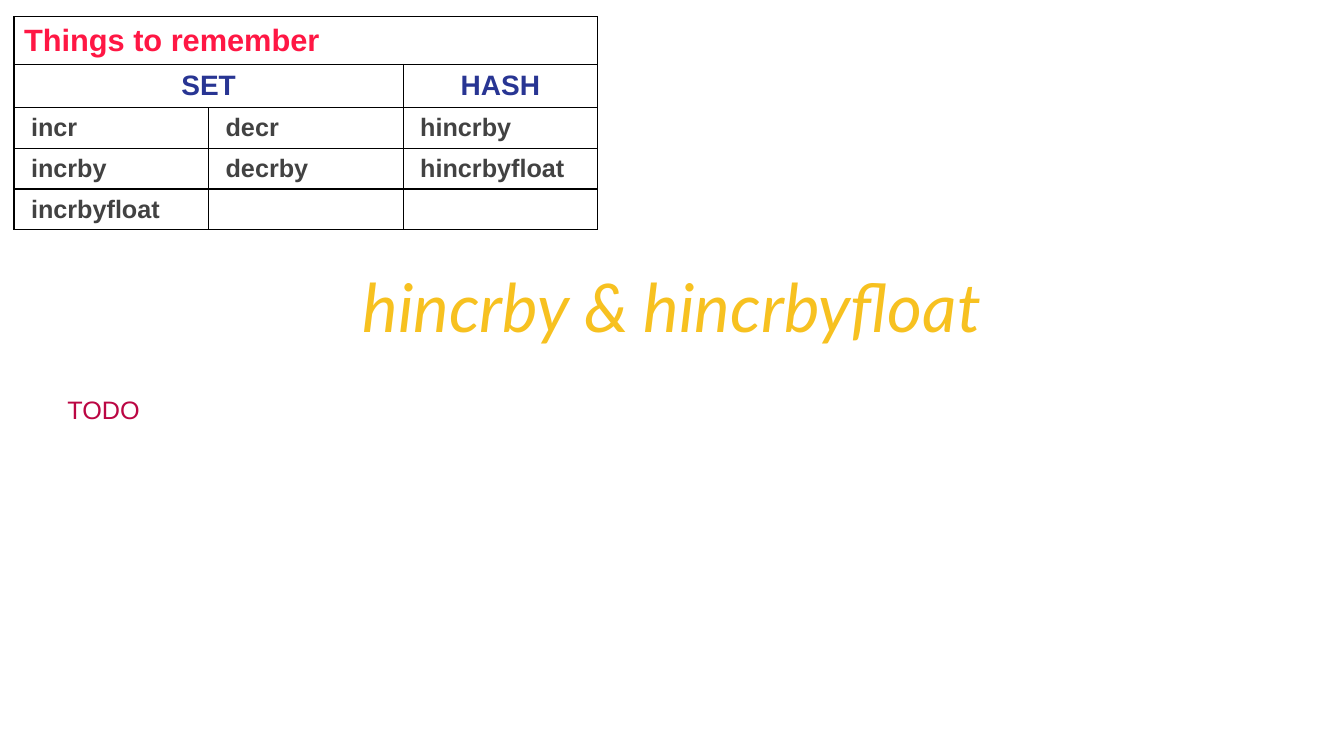
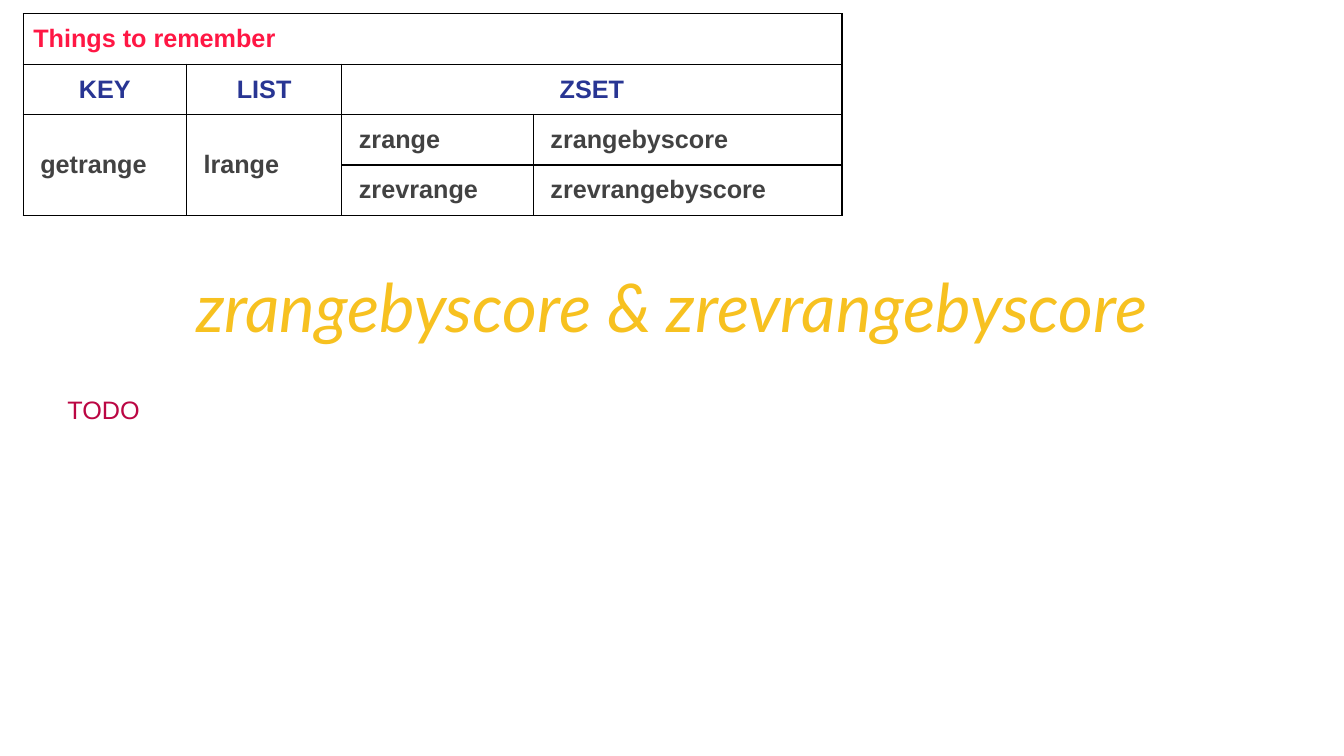
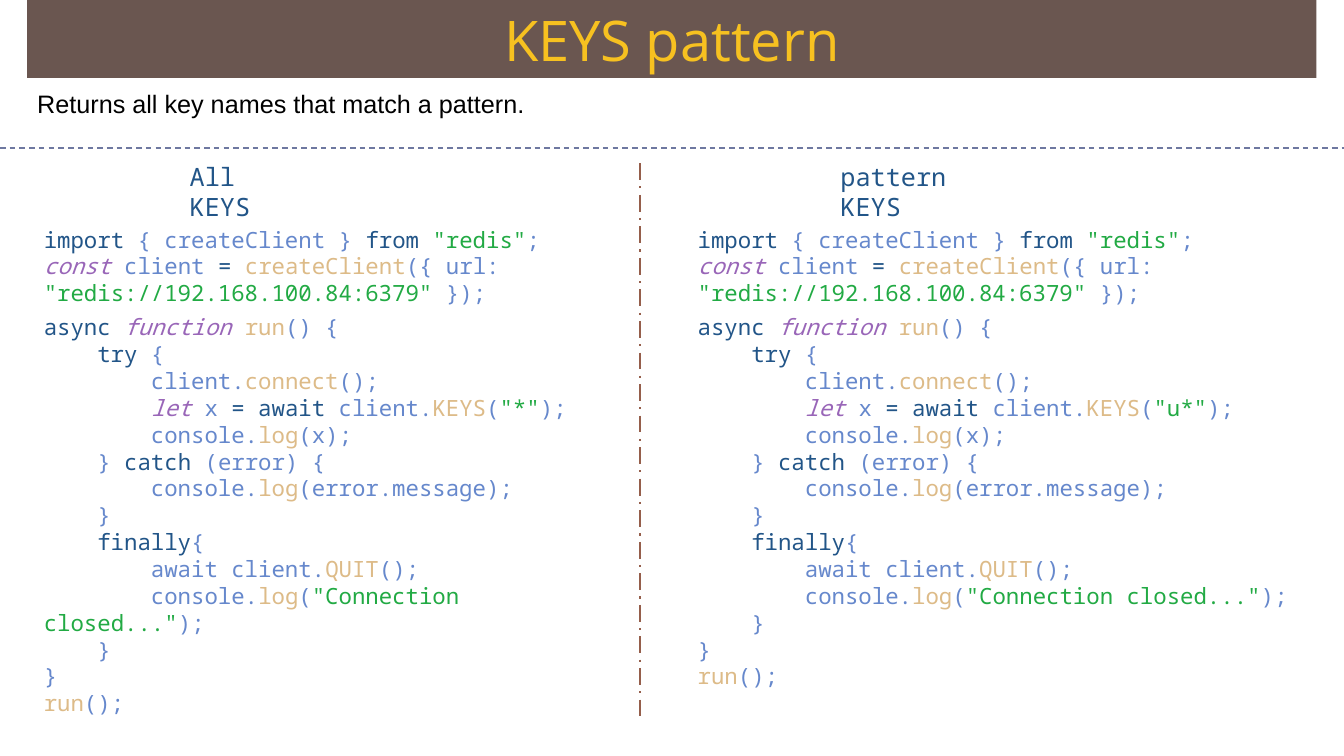
from dataclasses import dataclass

from lxml import etree
from pptx import Presentation
from pptx.dml.color import RGBColor
from pptx.enum.dml import MSO_LINE
from pptx.enum.shapes import MSO_CONNECTOR
from pptx.enum.text import MSO_ANCHOR, MSO_AUTO_SIZE, PP_ALIGN
from pptx.oxml.ns import qn
from pptx.util import Pt

LEFT, CENTER, JUSTIFY = PP_ALIGN.LEFT, PP_ALIGN.CENTER, PP_ALIGN.JUSTIFY
TOP, MIDDLE = MSO_ANCHOR.TOP, MSO_ANCHOR.MIDDLE
FIXED = MSO_AUTO_SIZE.NONE
STRAIGHT = MSO_CONNECTOR.STRAIGHT
DASH, LONG_DASH_DOT = MSO_LINE.DASH, MSO_LINE.LONG_DASH_DOT

COLORS = {
    "title": "F7C120",
    "band": "6A5650",
    "todo": "BB0643",
    "text": "000000",
    "border": "000000",
    "caption": "FF1744",
    "heading": "283593",
    "command": "424242",
    "rule": "6E78A0",
    "divider": "955E4B",
    "keyword": "225588",
    "plain": "6688CC",
    "string": "22AA44",
    "declaration": "9966B8",
    "function": "DDBB88",
}
WIDTH, HEIGHT = 960, 540
MARGIN_X, MARGIN_Y = 7.2, 3.6
COMMAND_INDENT = 5


@dataclass(frozen=True)
class Area:
    left: float
    top: float
    width: float
    height: float


@dataclass(frozen=True)
class Style:
    font: str
    size: float
    color: str
    bold: bool = False
    italic: bool = False
    align: PP_ALIGN = LEFT


@dataclass(frozen=True)
class Cell:
    row: int
    column: int
    text: str
    kind: str = "command"
    rows: int = 1
    columns: int = 1


@dataclass(frozen=True)
class Grid:
    left: float
    top: float
    widths: tuple
    heights: tuple
    cells: tuple
    sizes: dict


@dataclass(frozen=True)
class Topic:
    title: str
    grid: Grid


@dataclass(frozen=True)
class Example:
    heading: str
    pattern: str
    heading_area: Area
    code_area: Area


TOPIC_TITLE = Style("Lato", 48, "title", italic=True, align=CENTER)
BAND_TITLE = Style("Open Sans", 40, "title", align=CENTER)
TODO = Style("Arial", 18, "todo", align=JUSTIFY)
DESCRIPTION = Style("Arial", 18, "text", align=JUSTIFY)
EXAMPLE_HEADING = Style("Noto Sans Mono", 18, "keyword")

TOPICS = (
    Topic(
        "hincrby & hincrbyfloat",
        Grid(
            10, 12, (139,) * 3, (34, 31, 29, 29, 29),
            (
                Cell(0, 0, "Things to remember", "caption", columns=3),
                Cell(1, 0, "SET", "heading", columns=2),
                Cell(1, 2, "HASH", "heading"),
                Cell(2, 0, "incr"),
                Cell(2, 1, "decr"),
                Cell(2, 2, "hincrby"),
                Cell(3, 0, "incrby"),
                Cell(3, 1, "decrby"),
                Cell(3, 2, "hincrbyfloat"),
                Cell(4, 0, "incrbyfloat"),
            ),
            {"caption": 22, "heading": 20, "command": 18},
        ),
    ),
    Topic(
        "zrangebyscore & zrevrangebyscore",
        Grid(
            16.6, 9.8, (116.6, 111, 136.8, 220.4), (36,) * 4,
            (
                Cell(0, 0, "Things to remember", "caption", columns=4),
                Cell(1, 0, "KEY", "heading"),
                Cell(1, 1, "LIST", "heading"),
                Cell(1, 2, "ZSET", "heading", columns=2),
                Cell(2, 0, "getrange", rows=2),
                Cell(2, 1, "lrange", rows=2),
                Cell(2, 2, "zrange"),
                Cell(2, 3, "zrangebyscore"),
                Cell(3, 2, "zrevrange"),
                Cell(3, 3, "zrevrangebyscore"),
            ),
            {"caption": 18, "heading": 18, "command": 18},
        ),
    ),
)

EXAMPLES = (
    Example("All KEYS", "*", Area(128.4, 111.6, 94.3, 29), Area(24.2, 157.7, 432, 342)),
    Example("pattern KEYS", "u*", Area(593.2, 111.6, 134, 29), Area(491.3, 157.7, 448.6, 342)),
)


def code_lines(pattern: str) -> list:
    step = " " * 4
    log = [("plain", step * 2 + "console."), ("function", "log")]
    return [
        [("keyword", "import"), ("plain", " { createClient } "), ("keyword", "from "),
         ("string", '"redis"'), ("plain", ";")],
        [("declaration", "const"), ("plain", " client "), ("keyword", "= "),
         ("function", "createClient"), ("plain", "({ url: "),
         ("string", '"redis://192.168.100.84:6379" '), ("plain", "});")],
        [("keyword", "async "), ("declaration", "function "), ("function", "run"),
         ("plain", "() {")],
        [("plain", step), ("keyword", "try"), ("plain", " {")],
        [("plain", step * 2 + "client."), ("function", "connect"), ("plain", "();")],
        [("plain", step * 2), ("declaration", "let"), ("plain", " x "),
         ("keyword", "= await"), ("plain", " client."), ("function", "KEYS"),
         ("plain", "("), ("string", f'"{pattern}"'), ("plain", ");")],
        [*log, ("plain", "(x);")],
        [("plain", step + "} "), ("keyword", "catch"), ("plain", " (error) {")],
        [*log, ("plain", "(error.message);")],
        [("plain", step + "}")],
        [("plain", step), ("keyword", "finally"), ("plain", "{")],
        [("plain", step * 2 + "await client."), ("function", "QUIT"), ("plain", "();")],
        [*log, ("plain", "("), ("string", '"Connection closed..."'), ("plain", ");")],
        [("plain", step + "}")],
        [("plain", "}")],
        [("function", "run"), ("plain", "();")],
    ]


def rgb(name: str) -> RGBColor:
    return RGBColor.from_string(COLORS[name])


def format_font(font, style: Style) -> None:
    font.name = style.font
    font.size = Pt(style.size)
    font.bold = style.bold
    font.italic = style.italic
    font.color.rgb = rgb(style.color)


def set_frame(frame, anchor: MSO_ANCHOR) -> None:
    frame.word_wrap = True
    frame.auto_size = FIXED
    frame.vertical_anchor = anchor
    frame.margin_left = frame.margin_right = Pt(MARGIN_X)
    frame.margin_top = frame.margin_bottom = Pt(MARGIN_Y)


def set_text(frame, text: str, style: Style) -> None:
    frame.text = text
    para = frame.paragraphs[0]
    para.alignment = style.align
    format_font(para.runs[0].font, style)


def fill_placeholder(box, area: Area, text: str, style: Style, anchor: MSO_ANCHOR) -> None:
    box.left, box.top = Pt(area.left), Pt(area.top)
    box.width, box.height = Pt(area.width), Pt(area.height)
    set_frame(box.text_frame, anchor)
    set_text(box.text_frame, text, style)
    para = box.text_frame.paragraphs[0]
    para.space_before = Pt(0)
    properties = para._p.get_or_add_pPr()
    properties.set("marL", "0")
    properties.set("indent", "0")
    etree.SubElement(properties, qn("a:buNone"))


def add_page(deck, title: str, title_area: Area, title_style: Style,
             body: str, body_area: Area, body_style: Style):
    page = deck.slides.add_slide(deck.slide_layouts[1])
    fill_placeholder(page.shapes.title, title_area, title, title_style, MIDDLE)
    fill_placeholder(page.placeholders[1], body_area, body, body_style, TOP)
    return page


def add_box(page, area: Area):
    box = page.shapes.add_textbox(Pt(area.left), Pt(area.top), Pt(area.width), Pt(area.height))
    set_frame(box.text_frame, TOP)
    return box


def add_borders(cell) -> None:
    properties = cell._tc.get_or_add_tcPr()
    for position, side in enumerate(("lnL", "lnR", "lnT", "lnB")):
        line = etree.Element(qn(f"a:{side}"), w=str(Pt(1)))
        fill = etree.SubElement(line, qn("a:solidFill"))
        etree.SubElement(fill, qn("a:srgbClr"), val=COLORS["border"])
        properties.insert(position, line)


def add_grid(page, grid: Grid) -> None:
    table = page.shapes.add_table(
        len(grid.heights), len(grid.widths), Pt(grid.left), Pt(grid.top),
        Pt(sum(grid.widths)), Pt(sum(grid.heights))).table
    table.first_row = table.horz_banding = False
    for column, width in zip(table.columns, grid.widths):
        column.width = Pt(width)
    for row, height in zip(table.rows, grid.heights):
        row.height = Pt(height)
    for cell in table.iter_cells():
        cell.fill.background()
        add_borders(cell)
    for item in grid.cells:
        cell = table.cell(item.row, item.column)
        if item.rows > 1 or item.columns > 1:
            cell.merge(table.cell(item.row + item.rows - 1, item.column + item.columns - 1))
        indent = COMMAND_INDENT if item.kind == "command" else 0
        cell.margin_left, cell.margin_right = Pt(MARGIN_X + indent), Pt(MARGIN_X)
        cell.margin_top = cell.margin_bottom = Pt(MARGIN_Y)
        cell.vertical_anchor = MIDDLE
        align = CENTER if item.kind == "heading" else LEFT
        set_text(cell.text_frame, item.text,
                 Style("Arial", grid.sizes[item.kind], item.kind, bold=True, align=align))


def add_line(page, start: tuple, end: tuple, color: str, weight: float, dash: MSO_LINE) -> None:
    connector = page.shapes.add_connector(STRAIGHT, *map(Pt, start + end))
    connector.line.color.rgb = rgb(color)
    connector.line.width = Pt(weight)
    connector.line.dash_style = dash
    etree.SubElement(connector._element.spPr, qn("a:effectLst"))


def add_code(page, area: Area, lines: list) -> None:
    frame = add_box(page, area).text_frame
    for index, spans in enumerate(lines):
        para = frame.add_paragraph() if index else frame.paragraphs[0]
        if spans[0][1] == "async ":
            para.space_before = Pt(5)
        for kind, text in spans:
            span = para.add_run()
            span.text = text
            format_font(span.font, Style("Noto Sans Mono", 16, kind, italic=kind == "declaration"))


def add_topic_page(deck, topic: Topic) -> None:
    page = add_page(deck, topic.title, Area(80, 185.8, 800, 65.5), TOPIC_TITLE,
                    "TODO", Area(41, 278, 870.5, 29), TODO)
    add_grid(page, topic.grid)


def add_pattern_page(deck) -> None:
    page = add_page(deck, "KEYS pattern", Area(19.4, 0, 920.9, 55.6), BAND_TITLE,
                    "Returns all key names that match a pattern.",
                    Area(19.4, 59.8, 920.9, 29), DESCRIPTION)
    band = page.shapes.title
    band.fill.solid()
    band.fill.fore_color.rgb = rgb("band")
    add_line(page, (0, 105.8), (WIDTH, 105.8), "rule", 1, DASH)
    for example in EXAMPLES:
        add_code(page, example.code_area, code_lines(example.pattern))
        heading = add_box(page, example.heading_area)
        set_text(heading.text_frame, example.heading, EXAMPLE_HEADING)
    add_line(page, (457.2, 116.6), (457.2, 514), "divider", 1.5, LONG_DASH_DOT)


def main() -> None:
    deck = Presentation()
    deck.slide_width, deck.slide_height = Pt(WIDTH), Pt(HEIGHT)
    for topic in TOPICS:
        add_topic_page(deck, topic)
    add_pattern_page(deck)
    deck.save("out.pptx")


if __name__ == "__main__":
    main()
